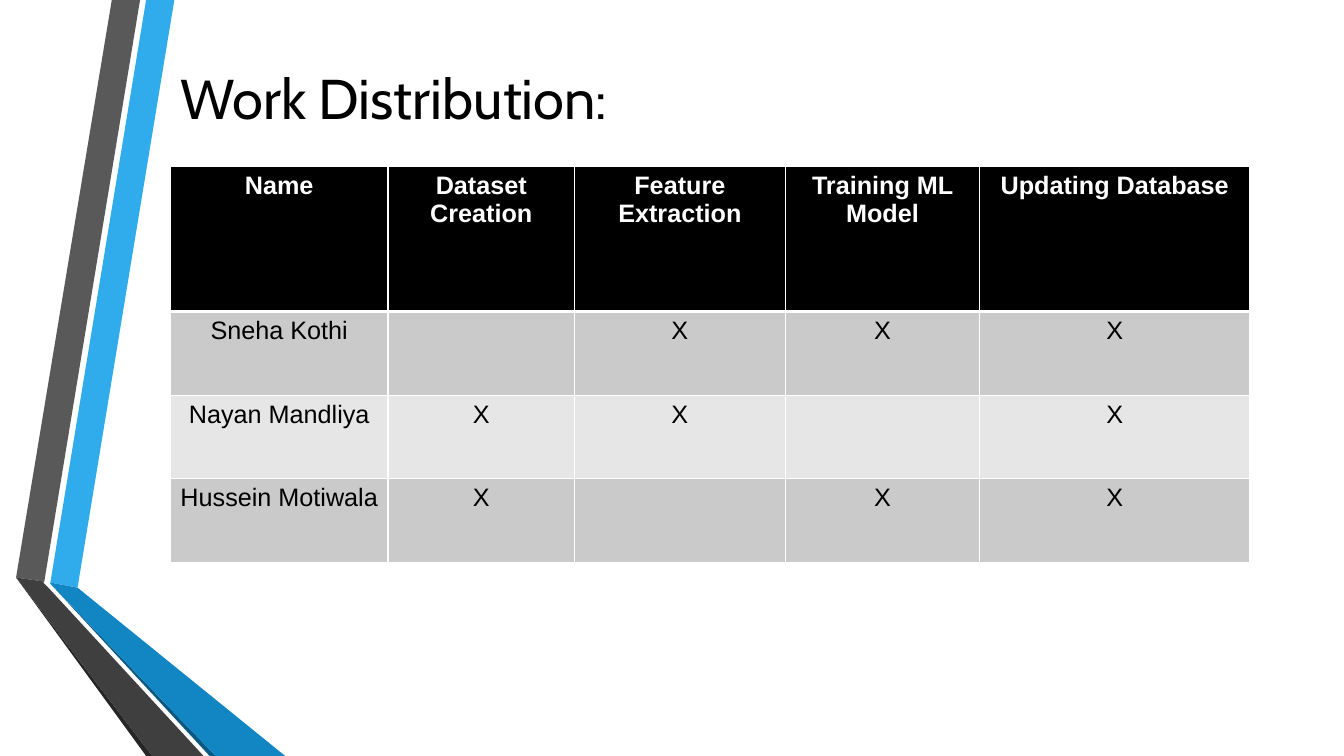
"""Build the work distribution slide on a grid of 160 columns by 90 rows."""
from dataclasses import dataclass

from lxml import etree
from pptx import Presentation, util as u
from pptx.dml.color import RGBColor
from pptx.enum import text
from pptx.oxml import ns

COLS, ROWS = 160, 90
CELL = u.Inches(7.5) / ROWS
COLOURS = {
    "white": "FFFFFF", "black": "000000",
    "band_dark": "CACACA", "band_light": "E6E6E6",
    "sky": "30ACEC", "blue": "1186C3", "navy": "0B5982",
    "grey": "595959", "charcoal": "3F3F3F", "soot": "262626",
}


@dataclass(frozen=True)
class Ribbon:
    colour: str
    points: tuple[tuple[float, float], ...]


@dataclass(frozen=True)
class Member:
    name: str
    tasks: tuple[str, ...]


RIBBONS = (
    Ribbon("sky", ((6, 69.36), (9.24, 69.96), (20.76, 0), (17.4, 0))),
    Ribbon("grey", ((16.68, 0), (13.32, 0), (1.92, 68.76), (5.28, 69.24))),
    Ribbon("soot", ((1.92, 68.76), (17.4, ROWS), (18.12, ROWS))),
    Ribbon("navy", ((6, 69.48), (24.96, ROWS), (25.68, ROWS))),
    Ribbon("blue", ((6, 69.48), (25.68, ROWS), (33.96, ROWS), (9.24, 69.96), (6, 69.36))),
    Ribbon("charcoal", ((24.24, ROWS), (5.76, 69.96), (5.16, 69.36), (5.28, 69.24),
                        (1.92, 68.76), (18.12, ROWS))),
)
TASKS = ("Dataset Creation", "Feature Extraction", "Training ML Model", "Updating Database")
MEMBERS = (
    Member("Sneha Kothi", TASKS[1:]),
    Member("Nayan Mandliya", (TASKS[0], TASKS[1], TASKS[3])),
    Member("Hussein Motiwala", (TASKS[0], TASKS[2], TASKS[3])),
)
LEFT = 20.28
COL_WIDTHS = (25.92, 22.2, 25.08, 23.16, 32.16)
ROW_HEIGHTS = (17.28,) + (9.96,) * len(MEMBERS)


def grid(n: float) -> u.Emu:
    return u.Emu(round(n * CELL))


def rgb(name: str) -> RGBColor:
    return RGBColor.from_string(COLOURS[name])


def write(tf, words: str, *, size: float = 18, font: str = "Arial", colour: str = "black",
          bold: bool = False, align=text.PP_ALIGN.CENTER) -> None:
    p = tf.paragraphs[0]
    p.alignment = align
    p.font.size = u.Pt(size)
    if words:
        r = p.add_run()
        r.text = words
        r.font.name, r.font.size, r.font.bold = font, u.Pt(size), bold
        r.font.color.rgb = rgb(colour)


def draw_ribbon(s, ribbon: Ribbon) -> None:
    start, *rest = [(grid(x), grid(y)) for x, y in ribbon.points]
    builder = s.shapes.build_freeform(*start)
    builder.add_line_segments(rest, close=True)
    sp = builder.convert_to_shape()
    sp.shadow.inherit = False
    sp.fill.solid()
    sp.fill.fore_color.rgb = rgb(ribbon.colour)
    sp.line.fill.background()


def draw_title(s, words: str) -> None:
    sp = s.shapes.add_textbox(grid(LEFT), grid(6), grid(111.6), grid(11.04))
    tf = sp.text_frame
    tf.word_wrap = True
    tf.vertical_anchor = text.MSO_ANCHOR.MIDDLE
    write(tf, words, size=40, font="Cabin", align=text.PP_ALIGN.LEFT)


def add_borders(cell, widths: dict[str, float]) -> None:
    tc_pr = cell._tc.get_or_add_tcPr()
    for i, (side, width) in enumerate(widths.items()):
        ln = etree.Element(ns.qn(f"a:ln{side}"), w=str(u.Pt(width)))
        fill = etree.SubElement(ln, ns.qn("a:solidFill"))
        etree.SubElement(fill, ns.qn("a:srgbClr"), val=COLOURS["white"])
        tc_pr.insert(i, ln)


def draw_table(s) -> None:
    rows = [("Name", *TASKS)]
    rows += [(m.name, *("X" if t in m.tasks else "" for t in TASKS)) for m in MEMBERS]
    table = s.shapes.add_table(len(rows), len(COL_WIDTHS), grid(LEFT), grid(19.8),
                               grid(sum(COL_WIDTHS)), grid(sum(ROW_HEIGHTS))).table
    for column, width in zip(table.columns, COL_WIDTHS):
        column.width = grid(width)
    for i, (row, height, words) in enumerate(zip(table.rows, ROW_HEIGHTS, rows)):
        row.height = grid(height)
        header = i == 0
        fill = "black" if header else "band_dark" if i % 2 else "band_light"
        widths = {"L": 1, "R": 1, "T": 3 if i == 1 else 1, "B": 3 if header else 1}
        for cell, word in zip(row.cells, words):
            cell.fill.solid()
            cell.fill.fore_color.rgb = rgb(fill)
            add_borders(cell, widths)
            write(cell.text_frame, word, bold=header, colour="white" if header else "black")


def main() -> None:
    prs = Presentation()
    prs.slide_width, prs.slide_height = grid(COLS), grid(ROWS)
    s = prs.slides.add_slide(prs.slide_layouts[6])
    for ribbon in RIBBONS:
        draw_ribbon(s, ribbon)
    draw_title(s, "Work Distribution:")
    draw_table(s)
    prs.save("out.pptx")


if __name__ == "__main__":
    main()
